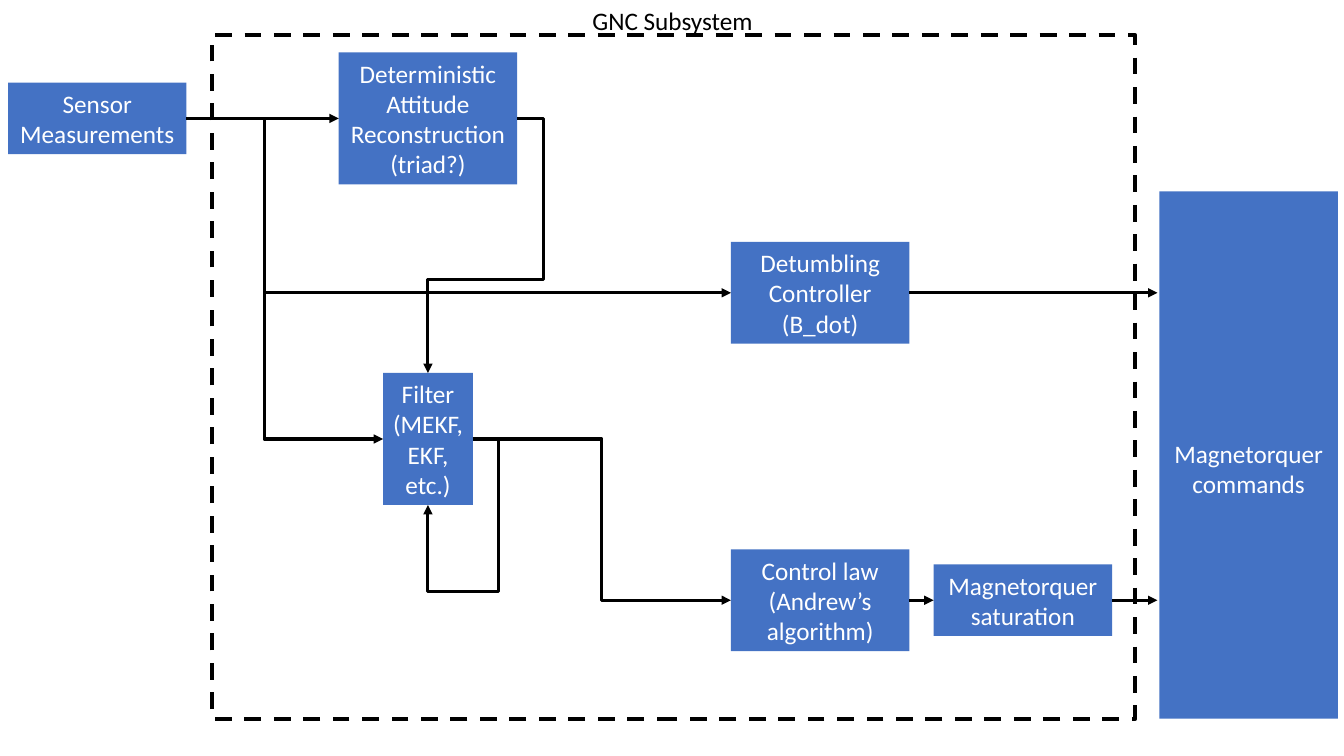
from dataclasses import dataclass

from lxml.etree import SubElement
from pptx import Presentation
from pptx.dml.color import RGBColor
from pptx.enum.dml import MSO_LINE_DASH_STYLE as Dash
from pptx.enum.shapes import MSO_CONNECTOR as Connector, MSO_SHAPE as Shape
from pptx.enum.text import MSO_ANCHOR as Anchor, PP_ALIGN as Align
from pptx.oxml.ns import qn
from pptx.util import Inches, Pt


@dataclass(frozen=True)
class Theme:
    font: str = "Calibri"
    size: int = 18
    block: RGBColor = RGBColor(0x44, 0x72, 0xC4)
    ink: RGBColor = RGBColor(0, 0, 0)
    paper: RGBColor = RGBColor(0xFF, 0xFF, 0xFF)
    frame_width: float = 3
    arrow_width: float = 2.25


THEME = Theme()
TITLE = ("GNC Subsystem", (4.95, 0, 3.44, 0.4))
FRAME = (2.1, 0.35, 9.16, 6.78)

# name: (text, (left, top, width, height))
BLOCKS = {
    "sensor": ("Sensor Measurements", (0.08, 0.82, 1.77, 0.71)),
    "saturation": ("Magnetorquer saturation", (9.26, 5.6, 1.77, 0.71)),
    "control": ("Control law (Andrew’s algorithm)", (7.25, 5.45, 1.77, 1.01)),
    "filter": ("Filter (MEKF, EKF, etc.)", (3.8, 3.7, 0.89, 1.31)),
    "detumbling": ("Detumbling Controller\n(B_dot)", (7.25, 2.4, 1.77, 1.01)),
    "attitude": ("Deterministic Attitude Reconstruction\n(triad?)",
                 (3.36, 0.52, 1.77, 1.31)),
    "commands": ("Magnetorquer commands", (11.5, 1.9, 1.77, 5.23)),
}
COMMANDS_TEXT_DROP = 2.45
COMMANDS_EDGE = 11.48

# Connection sites of a rectangle
TOP, LEFT, BOTTOM, RIGHT = range(4)

# (from block, to block, side entered, turn x, turn y); every flow leaves on the right
FLOWS = [
    ("sensor", "attitude", LEFT, None, None),
    ("sensor", "detumbling", LEFT, 2.62, None),
    ("sensor", "filter", LEFT, 2.62, None),
    ("filter", "filter", BOTTOM, 4.95, 5.87),
    ("filter", "control", LEFT, 5.97, None),
    ("attitude", "filter", TOP, 5.39, 2.77),
    ("control", "saturation", LEFT, None, None),
]
COMMAND_SOURCES = ["detumbling", "saturation"]


def write(box, text, color, anchor):
    frame = box.text_frame
    frame.word_wrap = True
    frame.vertical_anchor = anchor
    frame.margin_left = frame.margin_right = Inches(0.05)
    frame.text = text
    for para in frame.paragraphs:
        para.alignment = Align.CENTER
        for span in para.runs:
            span.font.name = THEME.font
            span.font.size = Pt(THEME.size)
            span.font.color.rgb = color


def add_rectangle(page, area):
    box = page.shapes.add_shape(Shape.RECTANGLE, *map(Inches, area))
    box.shadow.inherit = False
    return box


def add_frame(page):
    frame = add_rectangle(page, FRAME)
    frame.fill.background()
    frame.line.color.rgb = THEME.ink
    frame.line.width = Pt(THEME.frame_width)
    frame.line.dash_style = Dash.DASH


def add_block(page, text, area):
    box = add_rectangle(page, area)
    box.fill.solid()
    box.fill.fore_color.rgb = THEME.block
    box.line.fill.background()
    write(box, text, THEME.paper, Anchor.MIDDLE)
    return box


def site_point(name, site):
    """Return the middle of one side of a block, in inches."""
    left, top, width, height = BLOCKS[name][1]
    return {
        TOP: (left + width / 2, top),
        LEFT: (left, top + height / 2),
        BOTTOM: (left + width / 2, top + height),
        RIGHT: (left + width, top + height / 2),
    }[site]


def add_arrow(page, kind, start, end):
    arrow = page.shapes.add_connector(kind, *map(Inches, (*start, *end)))
    arrow.line.color.rgb = THEME.ink
    arrow.line.width = Pt(THEME.arrow_width)
    SubElement(arrow.line._get_or_add_ln(), qn("a:tailEnd"), type="triangle")
    SubElement(arrow._element.spPr, qn("a:effectLst"))
    return arrow


def bend(arrow, start, end, turns):
    """Place the turns of an elbow as shares of its width and height."""
    shares = [(turn - a) / (b - a)
              for turn, a, b in zip(turns, start, end) if turn is not None]
    geometry = arrow._element.spPr.find(qn("a:prstGeom"))
    geometry.set("prst", f"bentConnector{len(shares) + 2}")
    guides = geometry.find(qn("a:avLst"))
    for number, share in enumerate(shares, 1):
        SubElement(guides, qn("a:gd"), name=f"adj{number}",
                   fmla=f"val {round(share * 100000)}")


def add_flow(page, boxes, source, target, side, *turns):
    start, end = site_point(source, RIGHT), site_point(target, side)
    straight = turns[0] is None
    kind = Connector.STRAIGHT if straight else Connector.ELBOW
    arrow = add_arrow(page, kind, start, end)
    arrow.begin_connect(boxes[source], RIGHT)
    arrow.end_connect(boxes[target], side)
    if not straight:
        bend(arrow, start, end, turns)


def main():
    deck = Presentation()
    deck.slide_width, deck.slide_height = Inches(13.33), Inches(7.5)
    page = deck.slides.add_slide(deck.slide_layouts[6])

    add_frame(page)
    text, area = TITLE
    write(page.shapes.add_textbox(*map(Inches, area)), text, THEME.ink, Anchor.TOP)

    boxes = {name: add_block(page, *block) for name, block in BLOCKS.items()}
    commands = boxes["commands"].text_frame
    commands.vertical_anchor = Anchor.TOP
    commands.margin_top = Inches(COMMANDS_TEXT_DROP)

    for flow in FLOWS:
        add_flow(page, boxes, *flow)
    for source in COMMAND_SOURCES:
        start = site_point(source, RIGHT)
        arrow = add_arrow(page, Connector.STRAIGHT, start, (COMMANDS_EDGE, start[1]))
        arrow.begin_connect(boxes[source], RIGHT)

    deck.save("out.pptx")


if __name__ == "__main__":
    main()
